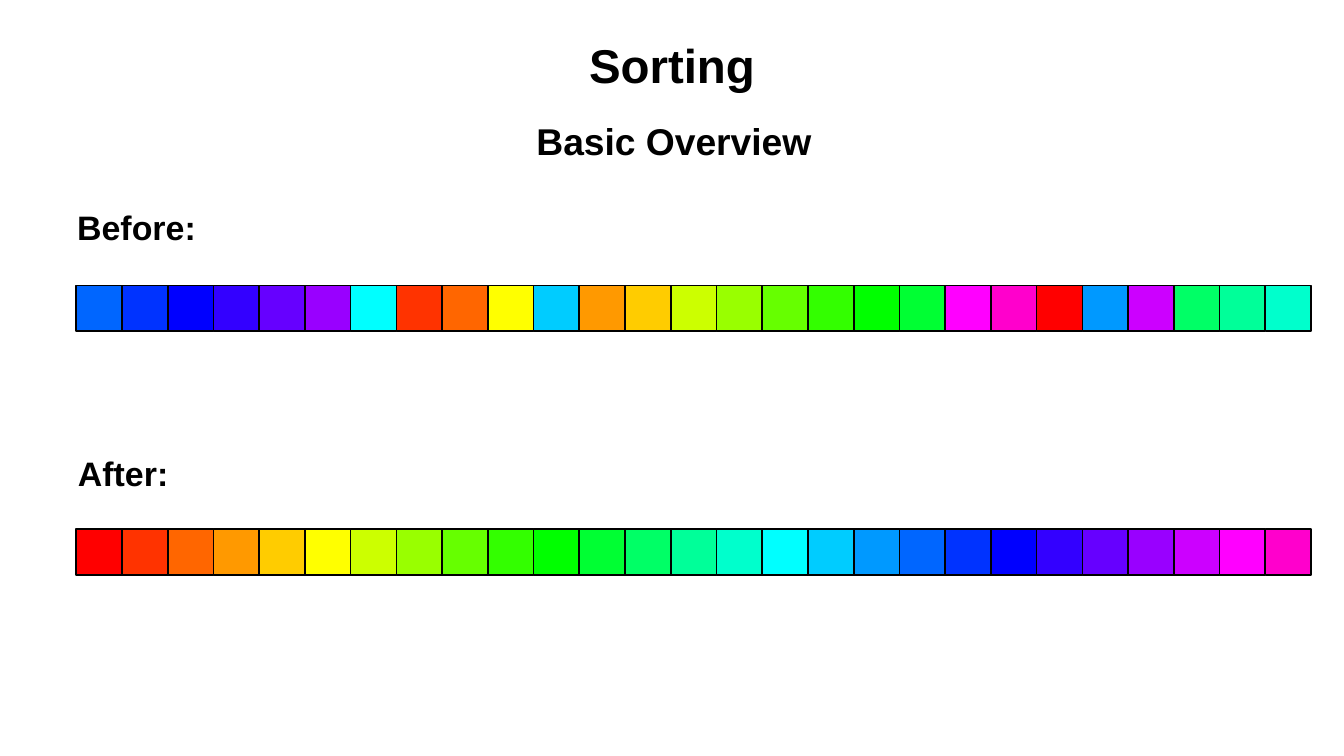
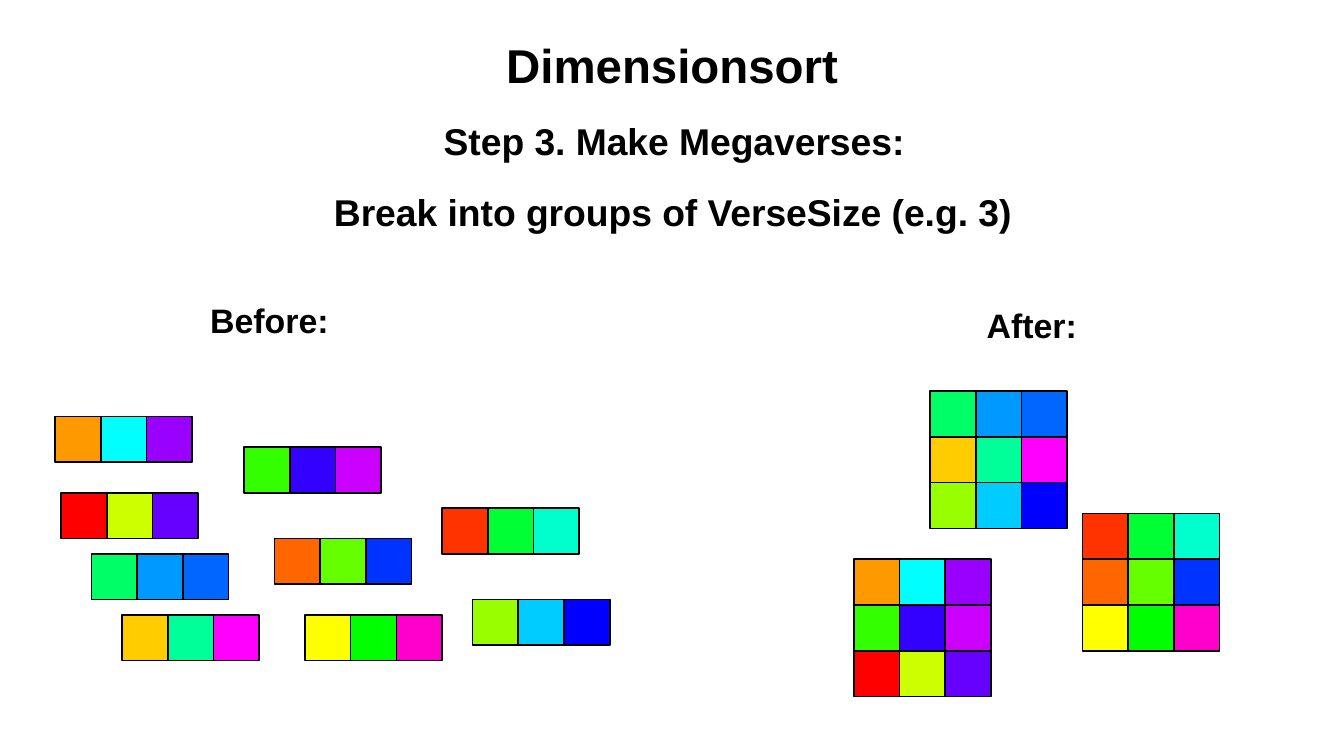
from dataclasses import dataclass

import pptx
import pptx.dml.color
import pptx.enum.shapes
import pptx.enum.text
import pptx.presentation
import pptx.shapes.shapetree
import pptx.slide
import pptx.util

Pt = pptx.util.Pt
RGBColor = pptx.dml.color.RGBColor
Align = pptx.enum.text.PP_ALIGN
Anchor = pptx.enum.text.MSO_ANCHOR

SLIDE_WIDTH, SLIDE_HEIGHT = 793.44, 446.4
FONT = "Arial"
BLACK = RGBColor(0x00, 0x00, 0x00)
WHITE = RGBColor(0xFF, 0xFF, 0xFF)
SPECTRUM: list[RGBColor] = [
    RGBColor.from_string(code)
    for code in (
        "FF0000 FF3300 FF6600 FF9900 FFCC00 FFFF00 CCFF00 99FF00 66FF00 "
        "33FF00 00FF00 00FF33 00FF66 00FF99 00FFCC 00FFFF 00CCFF 0099FF "
        "0066FF 0033FF 0000FF 3300FF 6600FF 9900FF CC00FF FF00FF FF00CC"
    ).split()
]
CELL = 27  # side of a square, and the step between squares


@dataclass(frozen=True)
class TextStyle:
    size: float
    centred: bool
    side_inset: float = 0
    top_inset: float = 0


TITLE = TextStyle(28, True)
SUBTITLE = TextStyle(22, False, 7.2, 3.6)
LABEL = TextStyle(20, True)


@dataclass(frozen=True)
class Label:
    text: str
    left: float
    top: float
    width: float
    height: float
    style: TextStyle


@dataclass(frozen=True)
class Block:
    """Rows of squares, each square given by its rank in the spectrum."""
    left: float
    top: float
    rows: list[list[int]]


def row_label(text: str, left: float, top: float) -> Label:
    return Label(text, left, top, 138.24, 54, LABEL)


def subtitle(text: str, left: float, top: float, width: float) -> Label:
    return Label(text, left, top, width, 38, SUBTITLE)


UNSORTED = [18, 19, 20, 21, 22, 23, 15, 1, 2, 5, 16, 3, 4, 6, 7, 8, 9, 10, 11,
            25, 26, 0, 17, 24, 12, 13, 14]
OVERVIEW_LABELS = [
    subtitle("Basic Overview", 309.6, 66.24, 362),
    row_label("Before:", 11.52, 107.28),
    row_label("After:", 3.6, 252),
]
OVERVIEW_BLOCKS = [
    Block(45, 168.5, [UNSORTED]),
    Block(45, 312.5, [sorted(UNSORTED)]),
]

MEGAVERSE_LABELS = [
    subtitle("Step 3. Make Megaverses:", 254.88, 66.24, 429),
    subtitle("Break into groups of VerseSize (e.g. 3)", 190.08, 108, 584),
    row_label("Before:", 90, 162),
    row_label("After:", 540, 164.88),
]
VERSES = [
    Block(32.5, 246, [[3, 15, 23]]),
    Block(144, 264, [[9, 21, 24]]),
    Block(36, 291, [[0, 6, 22]]),
    Block(261, 300, [[1, 11, 14]]),
    Block(162, 318, [[2, 8, 19]]),
    Block(180, 363, [[5, 10, 26]]),
    Block(54, 327, [[12, 17, 18]]),
    Block(72, 363, [[4, 13, 25]]),
    Block(279, 354, [[7, 16, 20]]),
]
VERSE_SIZE = 3
MEGAVERSE_CORNERS = [(504, 330.25), (639, 303.25), (549, 231)]
MEGAVERSES = [
    Block(left, top, [verse.rows[0] for verse in
                      VERSES[index * VERSE_SIZE:(index + 1) * VERSE_SIZE]])
    for index, (left, top) in enumerate(MEGAVERSE_CORNERS)
]


def add_label(slide: pptx.slide.Slide, label: Label) -> None:
    shape = slide.shapes.add_textbox(
        Pt(label.left), Pt(label.top), Pt(label.width), Pt(label.height))
    style = label.style
    frame = shape.text_frame
    frame.word_wrap = True
    frame.margin_left = frame.margin_right = Pt(style.side_inset)
    frame.margin_top = frame.margin_bottom = Pt(style.top_inset)
    frame.vertical_anchor = Anchor.MIDDLE if style.centred else Anchor.TOP
    paragraph = frame.paragraphs[0]
    paragraph.alignment = Align.CENTER if style.centred else Align.LEFT
    run = paragraph.add_run()
    run.text = label.text
    run.font.name = FONT
    run.font.size = Pt(style.size)
    run.font.bold = True
    run.font.color.rgb = BLACK


def add_square(shapes: pptx.shapes.shapetree.GroupShapes,
               left: float, top: float, color: RGBColor) -> None:
    shape = shapes.add_shape(
        pptx.enum.shapes.MSO_SHAPE.RECTANGLE,
        Pt(left), Pt(top), Pt(CELL), Pt(CELL))
    shape.shadow.inherit = False
    shape.fill.solid()
    shape.fill.fore_color.rgb = color
    shape.line.color.rgb = BLACK
    shape.line.width = Pt(1)


def add_block(slide: pptx.slide.Slide, block: Block) -> None:
    group = slide.shapes.add_group_shape()
    for row, ranks in enumerate(block.rows):
        for column, rank in enumerate(ranks):
            add_square(group.shapes, block.left + column * CELL,
                       block.top + row * CELL, SPECTRUM[rank])


def add_slide(presentation: pptx.presentation.Presentation, title: str,
              labels: list[Label], blocks: list[Block]) -> None:
    slide = presentation.slides.add_slide(presentation.slide_layouts[6])
    slide.background.fill.solid()
    slide.background.fill.fore_color.rgb = WHITE
    add_label(slide, Label(title, 39.6, 0.72, 714.24, 74.88, TITLE))
    for label in labels:
        add_label(slide, label)
    for block in blocks:
        add_block(slide, block)


def main() -> None:
    presentation = pptx.Presentation()
    presentation.slide_width = Pt(SLIDE_WIDTH)
    presentation.slide_height = Pt(SLIDE_HEIGHT)
    add_slide(presentation, "Sorting", OVERVIEW_LABELS, OVERVIEW_BLOCKS)
    add_slide(presentation, "Dimensionsort", MEGAVERSE_LABELS,
              VERSES + MEGAVERSES)
    presentation.save("out.pptx")


if __name__ == "__main__":
    main()
